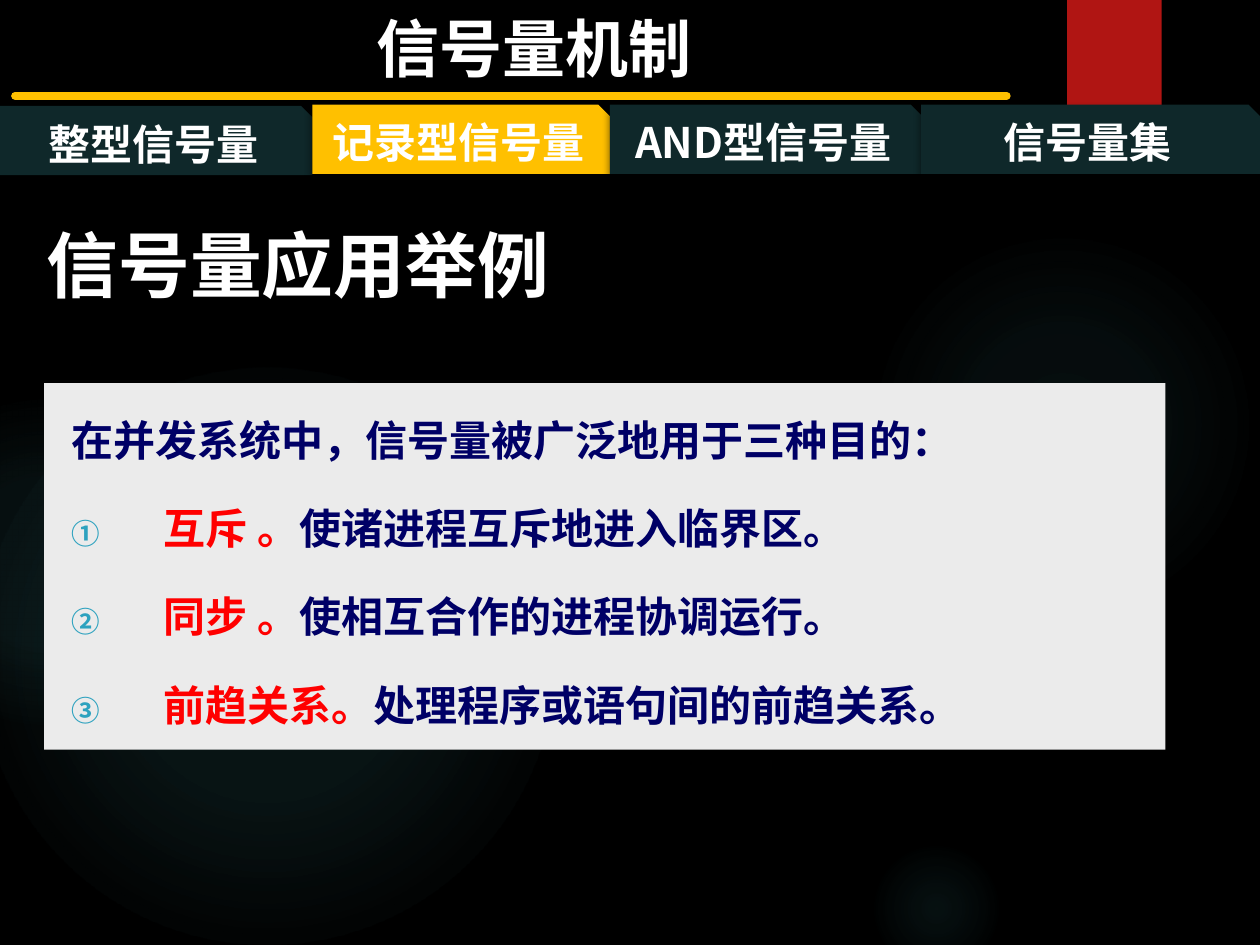
"""Build the slide on the uses of semaphores."""
from dataclasses import dataclass

import lxml.etree
import pptx
import pptx.dml.color
import pptx.enum.shapes
import pptx.enum.text
import pptx.oxml
import pptx.oxml.ns
import pptx.util

Inches = pptx.util.Inches
RGBColor = pptx.dml.color.RGBColor
PresetShape = pptx.enum.shapes.MSO_SHAPE
Align = pptx.enum.text.PP_ALIGN
Anchor = pptx.enum.text.MSO_ANCHOR
qn = pptx.oxml.ns.qn

FONT = "Noto Sans CJK SC"
BLACK = RGBColor(0x00, 0x00, 0x00)
WHITE = RGBColor(0xFF, 0xFF, 0xFF)
GLOW = RGBColor(0x50, 0xB9, 0xC1)
CRIMSON = RGBColor(0xB0, 0x15, 0x13)
AMBER = RGBColor(0xFF, 0xC0, 0x00)
DARK_TEAL = RGBColor(0x0F, 0x28, 0x2A)
PALE_GRAY = RGBColor(0xEB, 0xEB, 0xEB)
NAVY = RGBColor(0x00, 0x00, 0x66)
RED = RGBColor(0xFF, 0x00, 0x00)
BULLET_BLUE = RGBColor(0x2D, 0xA2, 0xBF)


@dataclass
class Glow:
    left: float
    top: float
    size: float
    stops: tuple[tuple[int, int], ...]


@dataclass
class Tab:
    text: str
    left: float
    top: float
    width: float
    color: RGBColor = DARK_TEAL


@dataclass
class Purpose:
    term: str
    meaning: str


GLOWS = (
    Glow(6.89, 1.83, 3.08, ((0, 7), (36, 6), (69, 0))),
    Glow(6.89, 6.67, 1.08, ((0, 9), (36, 5), (66, 0))),
    Glow(-0.17, 2.92, 4.58, ((0, 11), (36, 10), (75, 0))),
    Glow(-0.92, 3.17, 2.58, ((0, 8), (36, 8), (72, 0))),
)
TABS = (
    Tab("整型信号量", 0, 0.84, 2.48),
    Tab("记录型信号量", 2.48, 0.83, 2.36, AMBER),
    Tab("AND型信号量", 4.84, 0.83, 2.48),
    Tab("信号量集", 7.31, 0.83, 2.69),
)
PURPOSES = (
    Purpose("互斥 。", "使诸进程互斥地进入临界区。"),
    Purpose("同步 。", "使相互合作的进程协调运行。"),
    Purpose("前趋关系。", "处理程序或语句间的前趋关系。"),
)


def add_xml(parent, tag: str, **attributes):
    return lxml.etree.SubElement(parent, qn(tag), attributes)


def add_color(parent, color: RGBColor, alpha: int):
    color_node = add_xml(parent, "a:srgbClr", val=str(color))
    add_xml(color_node, "a:alpha", val=str(alpha * 1000))


def write(paragraph, text: str, *, size: float = 24, color: RGBColor = WHITE, align=Align.LEFT):
    paragraph.alignment = align
    run = paragraph.add_run()
    run.text = text
    run.font.size = pptx.util.Pt(size)
    run.font.bold = True
    run.font.color.rgb = color
    run.font.name = FONT
    add_xml(run.font._element, "a:ea", typeface=FONT)


def place(shape, left: float, top: float, width: float, height: float):
    shape.left, shape.top = Inches(left), Inches(top)
    shape.width, shape.height = Inches(width), Inches(height)
    shape.element.getparent().append(shape.element)


def add_block(slide, preset, box: tuple[float, ...], color: RGBColor):
    block = slide.shapes.add_shape(preset, *map(Inches, box))
    block.shadow.inherit = False
    block.line.fill.background()
    block.fill.solid()
    block.fill.fore_color.rgb = color
    return block


def add_shadow(shape, alpha: int, blur: float, distance: float):
    effects = shape.element.spPr.find(qn("a:effectLst"))
    shadow = add_xml(effects, "a:outerShdw", blurRad=str(pptx.util.Pt(blur)),
                     dist=str(pptx.util.Pt(distance)), dir="5400000", rotWithShape="0")
    add_color(shadow, BLACK, alpha)


def add_glow(slide, glow: Glow):
    ellipse = add_block(slide, PresetShape.OVAL, (glow.left, glow.top, glow.size, glow.size), GLOW)
    solid = ellipse.element.spPr.find(qn("a:solidFill"))
    gradient = pptx.oxml.parse_xml(f"<a:gradFill {pptx.oxml.ns.nsdecls('a')}/>")
    stop_list = add_xml(gradient, "a:gsLst")
    for position, alpha in glow.stops:
        add_color(add_xml(stop_list, "a:gs", pos=str(position * 1000)), GLOW, alpha)
    circle = add_xml(gradient, "a:path", path="circle")
    add_xml(circle, "a:fillToRect", l="50000", t="50000", r="50000", b="50000")
    solid.getparent().replace(solid, gradient)


def add_tab(slide, tab: Tab):
    shape = add_block(slide, PresetShape.SNIP_1_RECTANGLE,
                      (tab.left, tab.top, tab.width, 0.55), tab.color)
    add_shadow(shape, 60, 5, 3)
    shape.text_frame.vertical_anchor = Anchor.MIDDLE
    write(shape.text_frame.paragraphs[0], tab.text, align=Align.CENTER)


def add_rule(slide):
    rule = slide.shapes.add_connector(pptx.enum.shapes.MSO_CONNECTOR.STRAIGHT, Inches(0.12),
                                      Inches(0.76), Inches(7.99), Inches(0.76))
    rule.line.color.rgb = AMBER
    rule.line.width = pptx.util.Pt(4.5)
    rule.element.spPr.find(qn("a:ln")).set("cap", "rnd")
    add_xml(rule.element.spPr, "a:effectLst")


def indent(paragraph, margin: float, first: float):
    properties = paragraph._p.get_or_add_pPr()
    properties.set("marL", str(Inches(margin)))
    properties.set("indent", str(Inches(first)))
    paragraph.line_spacing = 1.5
    return properties


def fill_purposes(body):
    place(body, 0.35, 3.04, 8.9, 2.91)
    body.fill.solid()
    body.fill.fore_color.rgb = PALE_GRAY
    frame = body.text_frame
    frame.auto_size = pptx.enum.text.MSO_AUTO_SIZE.NONE
    lead = frame.paragraphs[0]
    add_xml(indent(lead, 0.4, -0.28), "a:buNone")
    lead.space_before = pptx.util.Pt(0)
    write(lead, "在并发系统中，信号量被广泛地用于三种目的：", color=NAVY)
    for purpose in PURPOSES:
        item = frame.add_paragraph()
        properties = indent(item, 0.85, -0.73)
        add_xml(add_xml(properties, "a:buClr"), "a:srgbClr", val=str(BULLET_BLUE))
        add_xml(properties, "a:buSzPct", val="68000")
        add_xml(properties, "a:buFont", typeface=FONT)
        add_xml(properties, "a:buAutoNum", type="circleNumDbPlain")
        item.space_before = pptx.util.Pt(7.2)
        write(item, purpose.term, color=RED)
        write(item, purpose.meaning, color=NAVY)


def main():
    deck = pptx.Presentation()
    deck.slide_width, deck.slide_height = Inches(10), Inches(7.5)
    slide = deck.slides.add_slide(deck.slide_layouts[1])
    slide.background.fill.solid()
    slide.background.fill.fore_color.rgb = BLACK
    for glow in GLOWS:
        add_glow(slide, glow)
    ribbon = add_block(slide, PresetShape.RECTANGLE, (8.47, 0, 0.75, 1.2), CRIMSON)
    add_shadow(ribbon, 45, 3, 2)
    add_rule(slide)
    chapter = slide.shapes.add_textbox(Inches(0.01), Inches(0.03), Inches(8.45), Inches(0.71))
    chapter.text_frame.word_wrap = True
    write(chapter.text_frame.paragraphs[0], "信号量机制", size=36, align=Align.CENTER)
    for tab in TABS:
        add_tab(slide, tab)
    fill_purposes(slide.placeholders[1])
    heading = slide.shapes.title
    place(heading, 0.27, 1.47, 9.29, 1.25)
    heading.text_frame.vertical_anchor = Anchor.MIDDLE
    write(heading.text_frame.paragraphs[0], "信号量应用举例", size=41)
    deck.save("out.pptx")


if __name__ == "__main__":
    main()
